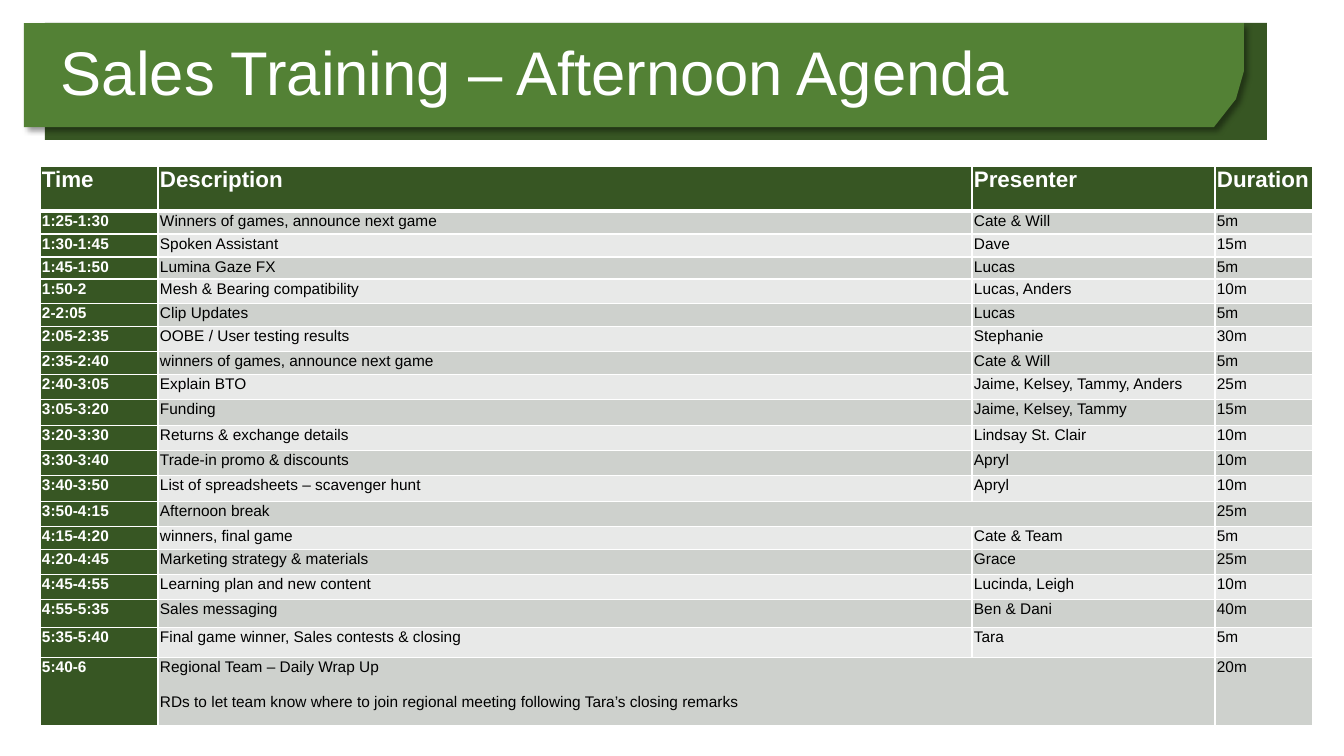
from lxml import etree
from pptx import Presentation, util as u
from pptx.dml.color import RGBColor
from pptx.enum import shapes, text
from pptx.oxml import ns

TITLE = "Sales Training – Afternoon Agenda"
HEADER = ("Time", "Description", "Presenter", "Duration")
# Time, description, presenter (None: description spans both columns), duration, row height
AGENDA = [
    ("1:25-1:30", "Winners of games, announce next game", "Cate & Will", "5m", 23),
    ("1:30-1:45", "Spoken Assistant", "Dave", "15m", 23),
    ("1:45-1:50", "Lumina Gaze FX", "Lucas", "5m", 22),
    ("1:50-2", "Mesh & Bearing compatibility", "Lucas, Anders", "10m", 25),
    ("2-2:05", "Clip Updates", "Lucas", "5m", 23),
    ("2:05-2:35", "OOBE / User testing results", "Stephanie", "30m", 25),
    ("2:35-2:40", "winners of games, announce next game", "Cate & Will", "5m", 23),
    ("2:40-3:05", "Explain BTO", "Jaime, Kelsey, Tammy, Anders", "25m", 25),
    ("3:05-3:20", "Funding", "Jaime, Kelsey, Tammy", "15m", 26),
    ("3:20-3:30", "Returns & exchange details", "Lindsay St. Clair", "10m", 25),
    ("3:30-3:40", "Trade-in promo & discounts", "Apryl", "10m", 25),
    ("3:40-3:50", "List of spreadsheets – scavenger hunt", "Apryl", "10m", 26),
    ("3:50-4:15", "Afternoon break", None, "25m", 25),
    ("4:15-4:20", "winners, final game", "Cate & Team", "5m", 23),
    ("4:20-4:45", "Marketing strategy & materials", "Grace", "25m", 25),
    ("4:45-4:55", "Learning plan and new content", "Lucinda, Leigh", "10m", 25),
    ("4:55-5:35", "Sales messaging", "Ben & Dani", "40m", 28),
    ("5:35-5:40", "Final game winner, Sales contests & closing", "Tara", "5m", 30),
    ("5:40-6", "Regional Team – Daily Wrap Up\nRDs to let team know where to join "
     "regional meeting following Tara’s closing remarks", None, "20m", 68),
]

SLIDE_SIZE = 1344, 756
BACK_BAND = 45, 23, 1222, 117
FRONT_BAND = [(24, 23), (1244, 23), (1244, 71), (1236, 99), (1214, 127), (24, 127)]
TITLE_BOX = 51, 36, 1107, 80
TABLE_LEFT, TABLE_TOP = 40, 166
COLUMN_WIDTHS = 118, 814, 243, 98
HEADER_HEIGHT = 45
CELL_INSET = 2

DARK_GREEN = RGBColor(0x37, 0x56, 0x23)
GREEN = RGBColor(0x53, 0x81, 0x35)
WHITE = RGBColor(0xFF, 0xFF, 0xFF)
BLACK = RGBColor(0, 0, 0)
BANDS = RGBColor(0xCE, 0xD1, 0xCD), RGBColor(0xE8, 0xE9, 0xE8)

EMU_PER_PX = 914400 / 100.8


def px(n):
    return u.Emu(round(n * EMU_PER_PX))


def write(tf, words, size, color, bold=False, spacing=1.07, after=12):
    for i, line in enumerate(words.split("\n")):
        p = tf.paragraphs[0] if i == 0 else tf.add_paragraph()
        p.line_spacing = spacing
        p.space_after = u.Pt(after)
        r = p.add_run()
        r.text = line
        r.font.name = "Arial"
        r.font.size = u.Pt(size)
        r.font.bold = bold
        r.font.color.rgb = color


def paint(sp, color):
    sp.shadow.inherit = False
    sp.fill.solid()
    sp.fill.fore_color.rgb = color
    sp.line.fill.background()


def add_color(parent, color):
    return etree.SubElement(parent, ns.qn("a:srgbClr"), val=str(color))


def cast_shadow(sp, blur, distance, angle, opacity):
    effects = sp._element.spPr.find(ns.qn("a:effectLst"))
    shadow = etree.SubElement(
        effects, ns.qn("a:outerShdw"), blurRad=str(u.Pt(blur)), dist=str(u.Pt(distance)),
        dir=str(angle * 60000), algn="tl", rotWithShape="0")
    etree.SubElement(add_color(shadow, BLACK), ns.qn("a:alpha"), val=str(opacity * 1000))


def set_borders(cell, top, bottom):
    tc_pr = cell._tc.get_or_add_tcPr()
    sides = {"L": 1, "R": 1, "T": top, "B": bottom}
    for i, (side, width) in enumerate(sides.items()):
        ln = etree.Element(ns.qn(f"a:ln{side}"), w=str(u.Pt(width)))
        add_color(etree.SubElement(ln, ns.qn("a:solidFill")), WHITE)
        tc_pr.insert(i, ln)


def add_banner(slide):
    back = slide.shapes.add_shape(shapes.MSO_SHAPE.RECTANGLE, *map(px, BACK_BAND))
    paint(back, DARK_GREEN)
    builder = slide.shapes.build_freeform(*FRONT_BAND[0], scale=EMU_PER_PX)
    builder.add_line_segments(FRONT_BAND[1:], close=True)
    front = builder.convert_to_shape()
    paint(front, GREEN)
    cast_shadow(front, blur=4, distance=3, angle=45, opacity=40)
    tf = slide.shapes.add_textbox(*map(px, TITLE_BOX)).text_frame
    tf.word_wrap = True
    tf.vertical_anchor = text.MSO_ANCHOR.MIDDLE
    write(tf, TITLE, 44, WHITE, spacing=0.9, after=0)


def add_agenda(slide):
    rows = [HEADER] + [row[:4] for row in AGENDA]
    heights = [HEADER_HEIGHT] + [row[4] for row in AGENDA]
    table = slide.shapes.add_table(
        len(rows), len(HEADER), px(TABLE_LEFT), px(TABLE_TOP),
        px(sum(COLUMN_WIDTHS)), px(sum(heights))).table
    table.first_col = True
    for column, width in zip(table.columns, COLUMN_WIDTHS):
        column.width = px(width)
    for i, (row, height) in enumerate(zip(rows, heights)):
        table.rows[i].height = px(height)
        for j, words in enumerate(row):
            cell = table.cell(i, j)
            heading = i == 0 or j == 0
            cell.margin_left = cell.margin_right = px(CELL_INSET)
            cell.margin_top = cell.margin_bottom = 0
            cell.fill.solid()
            cell.fill.fore_color.rgb = DARK_GREEN if heading else BANDS[(i - 1) % 2]
            set_borders(cell, top=3 if i == 1 else 1, bottom=3 if i == 0 else 1)
            if words is None:
                table.cell(i, j - 1).merge(cell)
            else:
                write(cell.text_frame, words, 16 if i == 0 else 11,
                      WHITE if heading else BLACK, bold=heading)


def main():
    prs = Presentation()
    prs.slide_width, prs.slide_height = map(px, SLIDE_SIZE)
    slide = prs.slides.add_slide(prs.slide_layouts[6])
    add_banner(slide)
    add_agenda(slide)
    prs.save("out.pptx")


if __name__ == "__main__":
    main()
